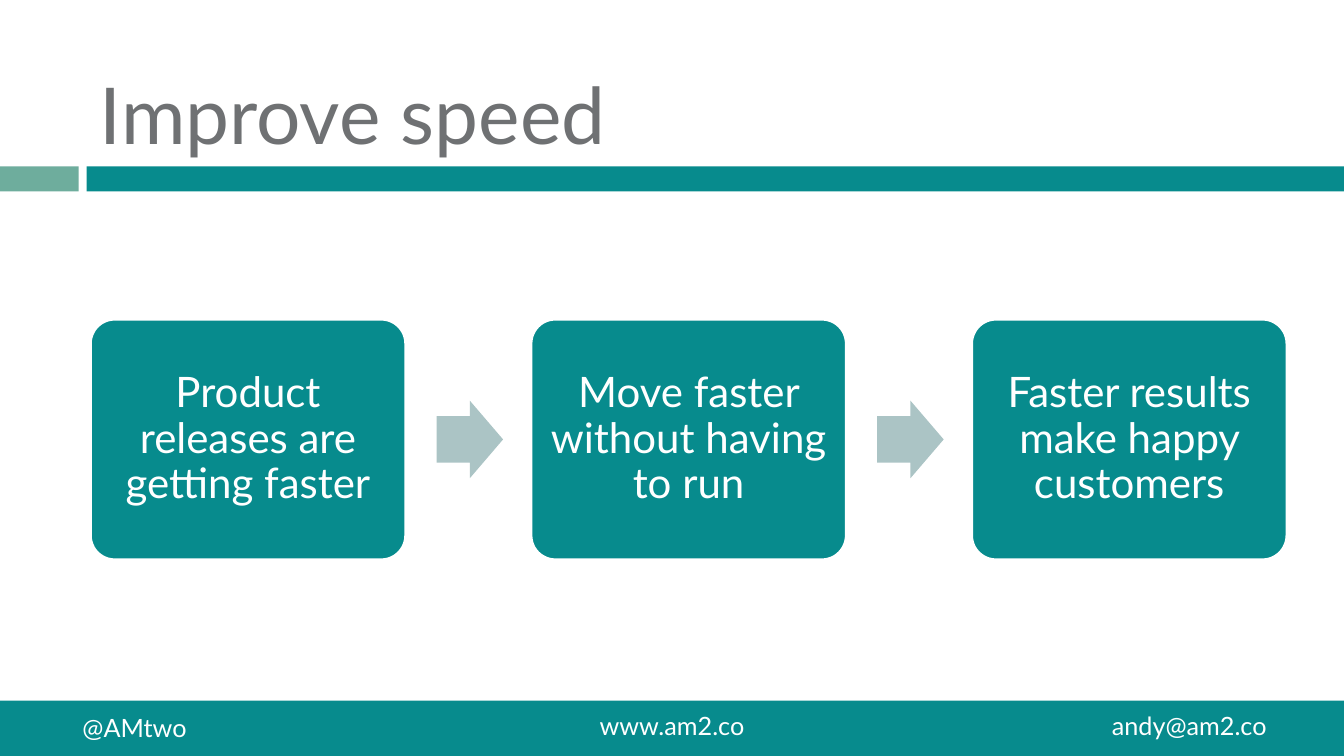
from dataclasses import dataclass

from pptx import Presentation
from pptx.dml.color import RGBColor
from pptx.enum.shapes import MSO_SHAPE
from pptx.enum.text import MSO_ANCHOR, PP_ALIGN
from pptx.util import Inches, Pt

RECTANGLE = MSO_SHAPE.RECTANGLE
ROUNDED = MSO_SHAPE.ROUNDED_RECTANGLE
ARROW = MSO_SHAPE.RIGHT_ARROW
TOP, MIDDLE, BOTTOM = MSO_ANCHOR.TOP, MSO_ANCHOR.MIDDLE, MSO_ANCHOR.BOTTOM
LEFT, CENTER = PP_ALIGN.LEFT, PP_ALIGN.CENTER

WIDTH, HEIGHT = 13.33, 7.5
STEP_LEFT, STEP_TOP, STEP_PITCH = 0.9, 3.17, 4.37
STEP_WIDTH, STEP_HEIGHT = 3.12, 2.38
ARROW_OFFSET, ARROW_WIDTH, ARROW_HEIGHT = 3.43, 0.66, 0.77
BAND_TOP, BAND_HEIGHT, BAND_SPLIT, BAND_GAP = 1.65, 0.25, 0.78, 0.08
FOOTER_HEIGHT = 0.55

STEPS = (
    "Product releases are getting faster",
    "Move faster without having to run",
    "Faster results make happy customers",
)
CONTACTS = (
    ("@AMtwo", 0.72, 7.02, 1.3, LEFT),
    ("www.am2.co", 5.74, 7, 1.85, CENTER),
    ("andy@am2.co", 10.93, 7, 1.85, LEFT),
)


@dataclass(frozen=True)
class Theme:
    """Colours, font and type sizes of the slide."""

    teal: str = "078B8D"
    sage: str = "6EAD9D"
    mist: str = "ABC4C5"
    grey: str = "6F7173"
    white: str = "FFFFFF"
    font: str = "Lato"
    title_size: int = 56
    step_size: int = 30
    footer_size: int = 18


THEME = Theme()


def add_block(slide, kind, left, top, width, height, color, adjustments=()):
    """Add a flat filled shape without an outline."""
    block = slide.shapes.add_shape(
        kind, Inches(left), Inches(top), Inches(width), Inches(height))
    block.shadow.inherit = False
    block.fill.solid()
    block.fill.fore_color.rgb = RGBColor.from_string(color)
    block.line.fill.background()
    for index, value in enumerate(adjustments):
        block.adjustments[index] = value
    return block


def write(shape, text, size, color, align=LEFT, anchor=TOP):
    """Write one wrapped paragraph into a shape and return it."""
    frame = shape.text_frame
    frame.word_wrap = True
    frame.vertical_anchor = anchor
    para = frame.paragraphs[0]
    para.text = text
    para.alignment = align
    para.font.name = THEME.font
    para.font.size = Pt(size)
    para.font.color.rgb = RGBColor.from_string(color)
    return para


def add_label(slide, text, left, top, width, height, size, color,
              align=LEFT, anchor=TOP):
    """Add a text box with one paragraph."""
    box = slide.shapes.add_textbox(
        Inches(left), Inches(top), Inches(width), Inches(height))
    write(box, text, size, color, align, anchor)


def add_header(slide):
    """Add the title and the two-part band below it."""
    band_left = BAND_SPLIT + BAND_GAP
    add_block(slide, RECTANGLE, 0, BAND_TOP, BAND_SPLIT, BAND_HEIGHT, THEME.sage)
    add_block(slide, RECTANGLE, band_left, BAND_TOP, WIDTH - band_left,
              BAND_HEIGHT, THEME.teal)
    add_label(slide, "Improve speed", 0.89, 0.17, 11.89, 1.47,
              THEME.title_size, THEME.grey, anchor=BOTTOM)


def add_step(slide, text, left):
    """Add one rounded step of the process."""
    step = add_block(slide, ROUNDED, left, STEP_TOP, STEP_WIDTH, STEP_HEIGHT,
                     THEME.teal, (0.1,))
    step.line.color.rgb = RGBColor.from_string(THEME.white)
    step.line.width = Pt(1.5)
    frame = step.text_frame
    frame.margin_left = frame.margin_right = Inches(0.12)
    frame.margin_top = frame.margin_bottom = Inches(0.12)
    para = write(step, text, THEME.step_size, THEME.white, CENTER, MIDDLE)
    para.line_spacing = 0.9


def add_process(slide):
    """Add the steps with an arrow between neighbours."""
    arrow_top = STEP_TOP + (STEP_HEIGHT - ARROW_HEIGHT) / 2
    for index, text in enumerate(STEPS):
        left = STEP_LEFT + index * STEP_PITCH
        add_step(slide, text, left)
        if index < len(STEPS) - 1:
            add_block(slide, ARROW, left + ARROW_OFFSET, arrow_top,
                      ARROW_WIDTH, ARROW_HEIGHT, THEME.mist, (0.6, 0.5))


def add_footer(slide):
    """Add the footer bar with the contact details."""
    add_block(slide, RECTANGLE, 0, HEIGHT - FOOTER_HEIGHT, WIDTH,
              FOOTER_HEIGHT, THEME.teal)
    for text, left, top, width, align in CONTACTS:
        add_label(slide, text, left, top, width, 0.4, THEME.footer_size,
                  THEME.white, align)


def main():
    """Build and save the deck."""
    deck = Presentation()
    deck.slide_width, deck.slide_height = Inches(WIDTH), Inches(HEIGHT)
    slide = deck.slides.add_slide(deck.slide_layouts[6])
    add_header(slide)
    add_process(slide)
    add_footer(slide)
    deck.save("out.pptx")


if __name__ == "__main__":
    main()
